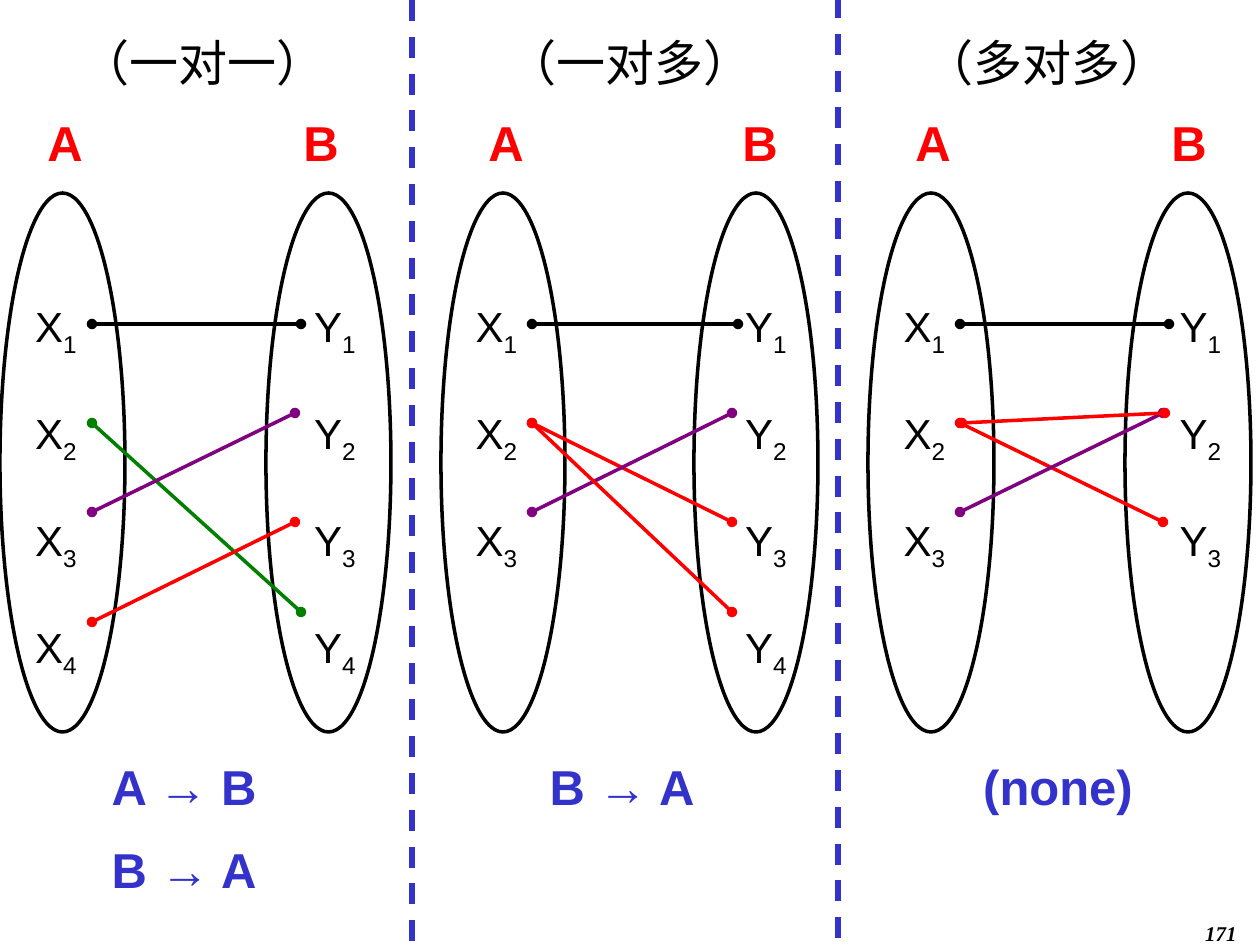
from lxml import etree
from pptx import Presentation
from pptx.dml.color import RGBColor
from pptx.enum.dml import MSO_LINE
from pptx.enum.shapes import MSO_CONNECTOR, MSO_SHAPE
from pptx.enum.text import MSO_ANCHOR, MSO_AUTO_SIZE, PP_ALIGN
from pptx.oxml.ns import qn
from pptx.util import Emu, Pt

STRAIGHT = MSO_CONNECTOR.STRAIGHT
OVAL = MSO_SHAPE.OVAL
DASH = MSO_LINE.DASH
TOP = MSO_ANCHOR.TOP
GROW = MSO_AUTO_SIZE.SHAPE_TO_FIT_TEXT
FIXED = MSO_AUTO_SIZE.NONE
CENTER, RIGHT = PP_ALIGN.CENTER, PP_ALIGN.RIGHT

PX = 914400 / 126
COLORS = {
    "black": "000000",
    "blue": "3333CC",
    "red": "FF0000",
    "green": "008000",
    "purple": "800080",
}
X_LEVELS = [324, 423, 512, 622]
Y_LEVELS = [324, 413, 522, 612]
LABEL_TOP, OVAL_TOP, OVAL_HEIGHT = 106, 193, 539

PANELS = [
    {
        "title": "（一对一）", "title_left": 34,
        "answers": ["A → B", "B → A"], "answer_left": 74,
        "ovals": (0, 266), "oval_width": 125, "labels": (11, 267),
        "members": (4, 4), "right_inset": 13, "link_left": 92,
        "links": [("black", 1, 1, 0, 209), ("green", 2, 4, 0, 209),
                  ("purple", 3, 2, 0, 203), ("red", 4, 3, 0, 203)],
    },
    {
        "title": "（一对多）", "title_left": 461,
        "answers": ["B → A"], "answer_left": 512,
        "ovals": (441, 694), "oval_width": 124, "labels": (452, 706),
        "members": (3, 4), "right_inset": 20, "link_left": 532,
        "links": [("black", 1, 1, 0, 206), ("red", 2, 3, 0, 200),
                  ("purple", 3, 2, 0, 200), ("red", 2, 4, 0, 200)],
    },
    {
        "title": "（多对多）", "title_left": 878,
        "answers": ["(none)"], "answer_left": 948,
        "ovals": (868, 1125), "oval_width": 126, "labels": (879, 1135),
        "members": (3, 3), "right_inset": 25, "link_left": 960,
        "links": [("black", 1, 1, 0, 209), ("red", 2, 3, 0, 203),
                  ("purple", 3, 2, 0, 203), ("red", 2, 2, 2, 205)],
    },
]


def px(length):
    return Emu(round(length * PX))


def color(name):
    return RGBColor.from_string(COLORS[name])


def add_span(para, text, *, size=28, fill="black", font="Arial", bold=False,
             italic=False, baseline=0):
    span = para.add_run()
    span.text = text
    span.font.size = Pt(size)
    span.font.name = font
    span.font.bold = bold
    span.font.italic = italic
    span.font.color.rgb = color(fill)
    properties = span._r.get_or_add_rPr()
    etree.SubElement(properties, qn("a:ea")).set("typeface", font)
    if baseline:
        properties.set("baseline", str(baseline * 1000))


def space_before_half(para):
    para.space_before = Pt(0)
    before = para._p.pPr.find(qn("a:spcBef"))
    before.remove(before[0])
    etree.SubElement(before, qn("a:spcPct")).set("val", "50000")


class RelationSlide:
    def __init__(self, deck):
        self.page = deck.slides.add_slide(deck.slide_layouts[6])
        self.line_width = Pt(2)

    def text(self, lines, left, top, width, height, align=CENTER, grow=True,
             **style):
        box = self.page.shapes.add_textbox(px(left), px(top), px(width), px(height))
        frame = box.text_frame
        frame.word_wrap = True
        frame.auto_size = GROW if grow else FIXED
        for index, line in enumerate(lines):
            para = frame.add_paragraph() if index else frame.paragraphs[0]
            para.alignment = align
            if grow:
                space_before_half(para)
            add_span(para, line, **style)

    def oval(self, letter, count, left, width, left_inset=0, right_inset=0):
        oval = self.page.shapes.add_shape(
            OVAL, px(left), px(OVAL_TOP), px(width), px(OVAL_HEIGHT))
        oval.shadow.inherit = False
        oval.fill.background()
        oval.line.color.rgb = color("black")
        oval.line.width = self.line_width
        frame = oval.text_frame
        frame.word_wrap = True
        frame.vertical_anchor = TOP
        frame.margin_left, frame.margin_right = px(left_inset), px(right_inset)
        frame.margin_top = frame.margin_bottom = 0
        for index in range(count):
            para = frame.add_paragraph() if index else frame.paragraphs[0]
            para.alignment = CENTER
            para.line_spacing = 1.5
            space_before_half(para)
            add_span(para, letter, size=24)
            add_span(para, str(index + 1), size=24, baseline=-25)

    def connector(self, start, end, stroke, width):
        line = self.page.shapes.add_connector(
            STRAIGHT, px(start[0]), px(start[1]), px(end[0]), px(end[1]))
        line.line.color.rgb = color(stroke)
        line.line.width = width
        etree.SubElement(line._element.spPr, qn("a:effectLst"))
        return line

    def divider(self, left, top, bottom):
        line = self.connector((left, top), (left, bottom), "blue", Pt(3))
        line.line.dash_style = DASH

    def link(self, start, end, stroke):
        line = self.connector(start, end, stroke, self.line_width)
        outline = line.line._get_or_add_ln()
        for tag in ("a:headEnd", "a:tailEnd"):
            etree.SubElement(outline, qn(tag)).set("type", "oval")

    def panel(self, panel):
        answers = panel["answers"]
        self.text(answers, panel["answer_left"], 750, 220,
                  72 + 88 * (len(answers) - 1), fill="blue", bold=True)
        insets = ({"right_inset": 13}, {"left_inset": panel["right_inset"]})
        for name, letter, count, oval_left, label_left, inset in zip(
                "AB", "XY", panel["members"], panel["ovals"], panel["labels"], insets):
            self.oval(letter, count, oval_left, panel["oval_width"], **inset)
            self.text([name], label_left, LABEL_TOP, 108, 72, fill="red", bold=True)
        left = panel["link_left"]
        for stroke, source, target, start, end in panel["links"]:
            self.link((left + start, X_LEVELS[source - 1]),
                      (left + end, Y_LEVELS[target - 1]), stroke)
        self.text([panel["title"]], panel["title_left"], 26, 338, 72,
                  font="Noto Sans CJK SC")


def main():
    deck = Presentation()
    deck.slide_width, deck.slide_height = px(1260), px(945)
    slide = RelationSlide(deck)
    slide.text(["171"], 987, 914, 262, 31, align=RIGHT, grow=False, size=12,
               font="Times New Roman", bold=True, italic=True)
    slide.divider(412, 0, 945)
    slide.divider(838, -3, 941)
    for panel in PANELS:
        slide.panel(panel)
    deck.save("out.pptx")


if __name__ == "__main__":
    main()
